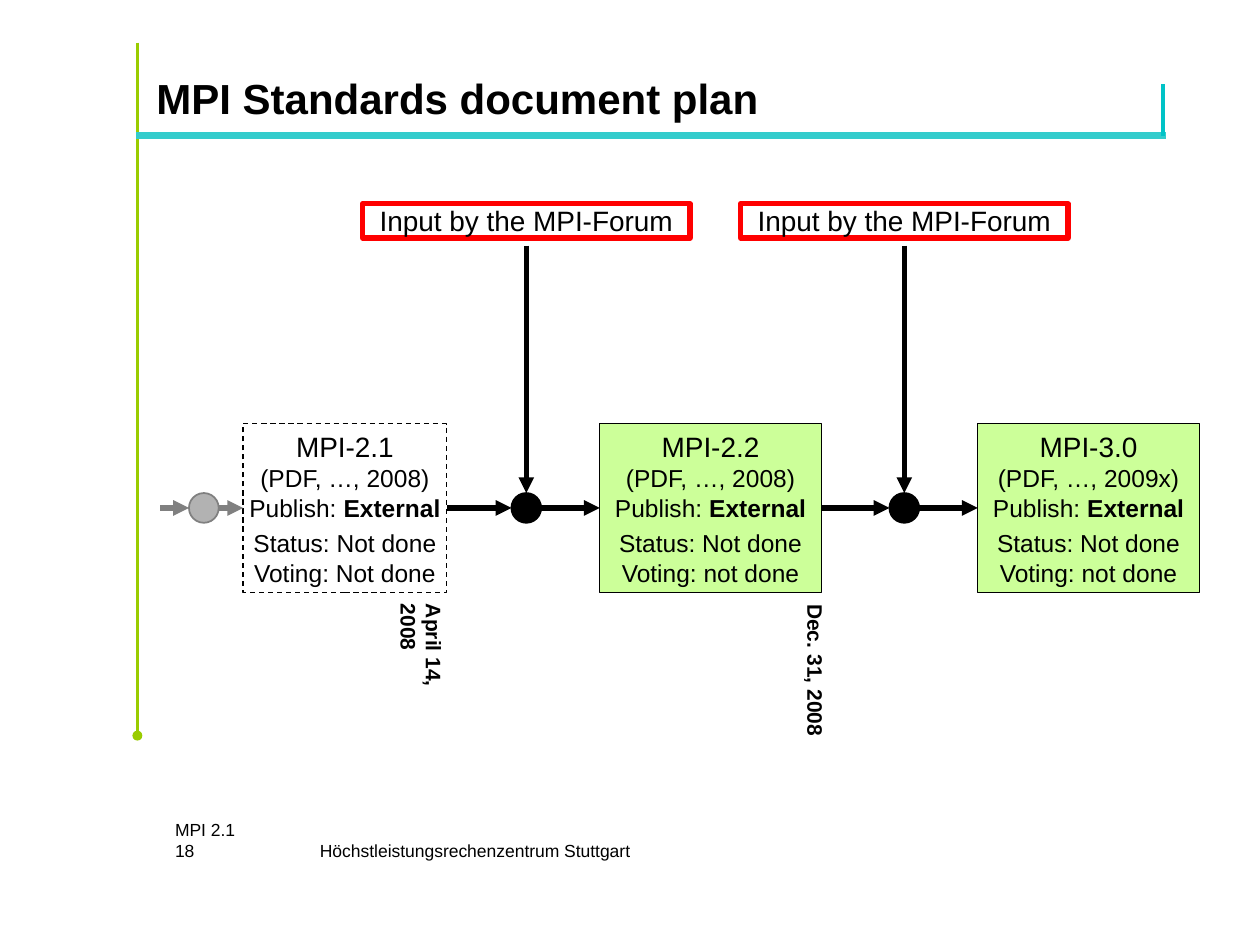
"""Build the MPI Standards document plan slide."""
import pptx
import pptx.dml.color
import pptx.enum.dml
import pptx.enum.shapes
import pptx.enum.text
import pptx.oxml
import pptx.oxml.ns
import pptx.util

Cm, Pt = pptx.util.Cm, pptx.util.Pt
RGBColor = pptx.dml.color.RGBColor
MSO_SHAPE = pptx.enum.shapes.MSO_SHAPE
PP_ALIGN = pptx.enum.text.PP_ALIGN
MSO_ANCHOR = pptx.enum.text.MSO_ANCHOR

COLORS = {
    "black": "000000", "white": "FFFFFF", "lime": "99CC00", "teal": "33CCCC",
    "cyan": "00C3C7", "pale green": "CCFF99", "red": "FF0000",
    "gray": "808080", "light gray": "B2B2B2",
}
COLORS = {name: RGBColor.from_string(value) for name, value in COLORS.items()}

presentation = pptx.Presentation()
presentation.slide_width, presentation.slide_height = Cm(25.4), Cm(19.05)
slide = presentation.slides.add_slide(presentation.slide_layouts[5])


def add_line(start, end, color, width, arrow=False):
    connector = slide.shapes.add_connector(
        pptx.enum.shapes.MSO_CONNECTOR.STRAIGHT, *(Cm(value) for value in start + end))
    connector.line.color.rgb = COLORS[color]
    connector.line.width = Pt(width)
    properties = connector._element.spPr
    if arrow:
        tail = pptx.oxml.parse_xml(
            f'<a:tailEnd {pptx.oxml.ns.nsdecls("a")} type="triangle"/>')
        properties.find(pptx.oxml.ns.qn("a:ln")).append(tail)
    properties.append(pptx.oxml.parse_xml(
        f'<a:effectLst {pptx.oxml.ns.nsdecls("a")}/>'))
    return connector


def add_outline(kind, place, fill, line, width):
    shape = slide.shapes.add_shape(kind, *(Cm(value) for value in place))
    shape.shadow.inherit = False
    if fill:
        shape.fill.solid()
        shape.fill.fore_color.rgb = COLORS[fill]
    else:
        shape.fill.background()
    if line:
        shape.line.color.rgb = COLORS[line]
        shape.line.width = Pt(width)
    else:
        shape.line.fill.background()
    return shape


add_line((2.77, 0.86), (2.77, 14.81), "lime", 2)
add_line((2.74, 2.74), (23.5, 2.74), "teal", 4)
add_outline(MSO_SHAPE.OVAL, (2.67, 14.73, 0.2, 0.2), "lime", None, 0)
add_line((23.44, 2.74), (23.44, 1.7), "cyan", 2)

title = slide.shapes.title
title.left, title.top, title.width, title.height = Cm(2.9), Cm(1.47), Cm(20.57), Cm(0.99)
title.text_frame.text = "MPI Standards document plan"
title.text_frame.vertical_anchor = MSO_ANCHOR.MIDDLE
title_paragraph = title.text_frame.paragraphs[0]
title_paragraph.alignment = PP_ALIGN.LEFT
title_font = title_paragraph.runs[0].font
title_font.name, title_font.size, title_font.bold = "Arial", Pt(24), True
title_font.color.rgb = COLORS["black"]

MIDDLE = 10.24
CIRCLE = 0.6
PITCH = 7.62

versions = [
    ("MPI-2.1", "2008", "Not done", 4.9, 4.11, "white"),
    ("MPI-2.2", "2008", "not done", 12.09, 4.47, "pale green"),
    ("MPI-3.0", "2009x", "not done", 12.09 + PITCH, 4.47, "pale green"),
]
boxes = []
for name, year, voting, left, width, fill in versions:
    box = add_outline(MSO_SHAPE.RECTANGLE, (left, MIDDLE - 1.7, width, 3.4), fill, "black", 0.75)
    text_frame = box.text_frame
    text_frame.word_wrap = False
    text_frame.vertical_anchor = MSO_ANCHOR.TOP
    heading = text_frame.paragraphs[0]
    heading.text = f"{name}\v(PDF, …, {year})\vPublish: "
    heading.add_run().text = "External"
    status = text_frame.add_paragraph()
    status.text = f"Status: Not done\vVoting: {voting}"
    status.space_before = Pt(3.5)
    for paragraph in text_frame.paragraphs:
        paragraph.alignment = PP_ALIGN.CENTER
        for run in paragraph.runs:
            run.font.name, run.font.size = "Arial", Pt(14)
            run.font.color.rgb = COLORS["black"]
    heading.runs[0].font.size = Pt(16)
    heading.runs[-1].font.bold = True
    boxes.append(box)
boxes[0].line.dash_style = pptx.enum.dml.MSO_LINE.DASH

steps = [
    (3.81, "light gray", "gray", None, boxes[0]),
    (10.31, "black", "black", boxes[0], boxes[1]),
    (10.31 + PITCH, "black", "black", boxes[1], boxes[2]),
]
for left, fill, line, source, target in steps:
    right, center = left + CIRCLE, left + CIRCLE / 2
    arrow_in = add_line((3.23, MIDDLE), (left, MIDDLE), line, 3, arrow=True)
    if source:
        arrow_in.begin_connect(source, 3)
    add_outline(MSO_SHAPE.OVAL, (left, MIDDLE - CIRCLE / 2, CIRCLE, CIRCLE), fill, line, 1)
    arrow_out = add_line((right, MIDDLE), (right + 0.5, MIDDLE), line, 3, arrow=True)
    arrow_out.end_connect(target, 1)
    if source:
        forum = add_outline(MSO_SHAPE.RECTANGLE, (center - 3.3, 4.11, 6.6, 0.69), None, "red", 3)
        text_frame = forum.text_frame
        text_frame.margin_left = text_frame.margin_right = 0
        text_frame.margin_top = text_frame.margin_bottom = 0
        text_frame.vertical_anchor = MSO_ANCHOR.TOP
        text_frame.text = "Input by the MPI-Forum"
        text_frame.paragraphs[0].alignment = PP_ALIGN.CENTER
        font = text_frame.paragraphs[0].runs[0].font
        font.name, font.size = "Arial", Pt(16)
        font.color.rgb = COLORS["black"]
        add_line((center, 4.95), (center, MIDDLE - CIRCLE / 2), "black", 3, arrow=True)

labels = [
    ("April 14, 2008", (7.34, 13.28, 2.82, 0.51), 12, 90, PP_ALIGN.LEFT),
    ("Dec. 31, 2008", (15.06, 13.26, 2.77, 0.51), 12, 90, PP_ALIGN.LEFT),
    ("MPI 2.1", (3.53, 16.51, 5.99, 0.43), 10, 0, PP_ALIGN.LEFT),
    ("18", (3.53, 16.94, 2.49, 0.43), 10, 0, PP_ALIGN.LEFT),
    ("Höchstleistungsrechenzentrum Stuttgart", (6.45, 16.94, 6.25, 0.43), 10, 0, PP_ALIGN.RIGHT),
]
for text, place, size, rotation, alignment in labels:
    label = slide.shapes.add_textbox(*(Cm(value) for value in place))
    label.rotation = rotation
    text_frame = label.text_frame
    text_frame.word_wrap = False
    text_frame.margin_left = text_frame.margin_right = Cm(0.05 if rotation else 0)
    text_frame.margin_top = text_frame.margin_bottom = 0
    text_frame.vertical_anchor = MSO_ANCHOR.TOP if rotation else MSO_ANCHOR.MIDDLE
    text_frame.text = text
    text_frame.paragraphs[0].alignment = alignment
    font = text_frame.paragraphs[0].runs[0].font
    font.name, font.size, font.bold = "Arial", Pt(size), bool(rotation)
    font.color.rgb = COLORS["black"]
    if not rotation:
        text_frame.word_wrap = alignment == PP_ALIGN.LEFT

presentation.save("out.pptx")
